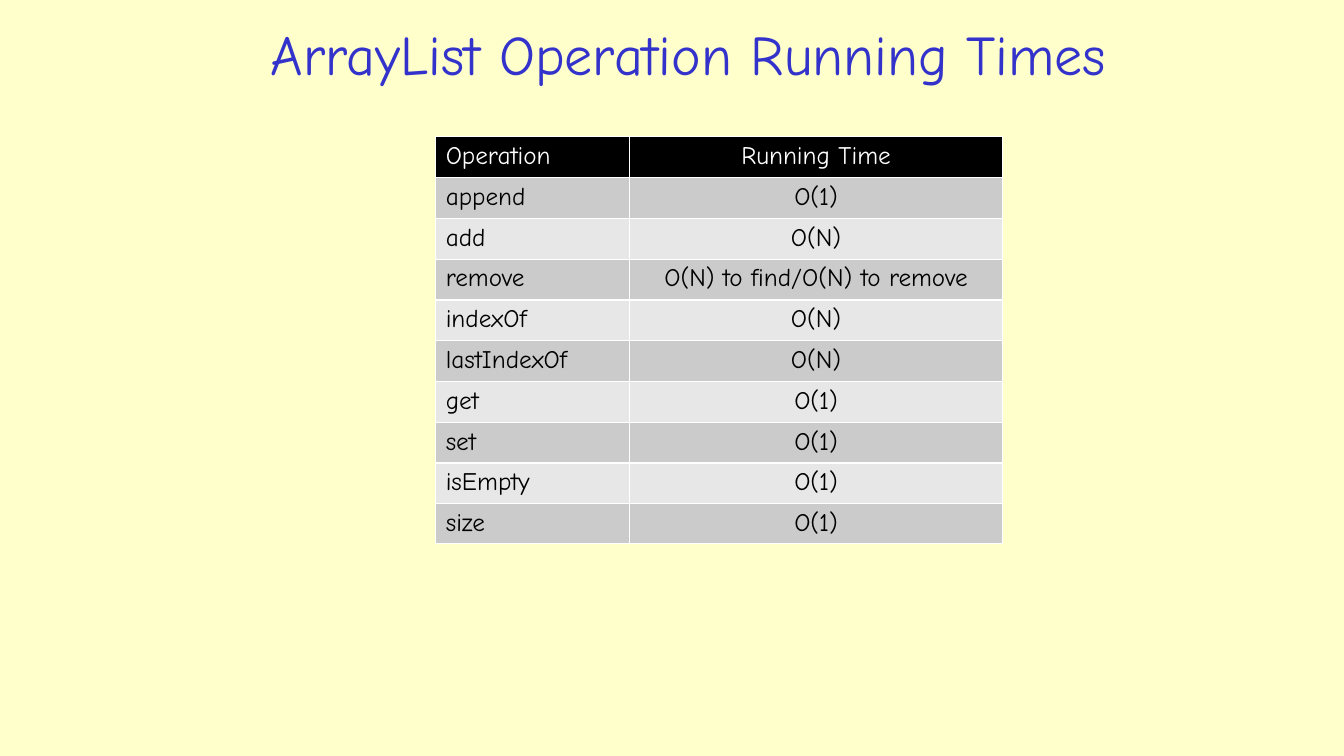
from lxml.etree import SubElement
from pptx import Presentation
from pptx.dml.color import RGBColor
from pptx.enum.text import MSO_ANCHOR, PP_ALIGN
from pptx.oxml.ns import qn
from pptx.util import Cm, Pt

FONT = "Comic Neue"
CREAM = RGBColor(0xFF, 0xFF, 0xCC)
BLUE = RGBColor(0x33, 0x33, 0xCC)
BLACK = RGBColor(0x00, 0x00, 0x00)
WHITE = RGBColor(0xFF, 0xFF, 0xFF)
DARK_BAND = RGBColor(0xCB, 0xCB, 0xCB)
LIGHT_BAND = RGBColor(0xE7, 0xE7, 0xE7)

ROWS = [
    ("Operation", "Running Time"),
    ("append", "O(1)"),
    ("add", "O(N)"),
    ("remove", "O(N) to find/O(N) to remove"),
    ("indexOf", "O(N)"),
    ("lastIndexOf", "O(N)"),
    ("get", "O(1)"),
    ("set", "O(1)"),
    ("isEmpty", "O(1)"),
    ("size", "O(1)"),
]
COLUMN_WIDTHS = [Cm(4.89), Cm(9.39)]
ROW_HEIGHTS = [Cm(1.03)] * 7 + [Cm(0.99)] * 3


def write(frame, text, size=18, color=BLACK, align=PP_ALIGN.LEFT):
    para = frame.paragraphs[0]
    para.alignment = align
    span = para.add_run()
    span.text = text
    span.font.name = FONT
    span.font.size = Pt(size)
    span.font.bold = False
    span.font.color.rgb = color


def add_borders(cell, color=WHITE, width=1):
    properties = cell._tc.get_or_add_tcPr()
    for side in ("a:lnL", "a:lnR", "a:lnT", "a:lnB"):
        line = SubElement(properties, qn(side), w=str(Pt(width)))
        SubElement(SubElement(line, qn("a:solidFill")), qn("a:srgbClr"), val=str(color))


deck = Presentation()
deck.slide_width, deck.slide_height = Cm(33.87), Cm(19.05)
page = deck.slides.add_slide(deck.slide_layouts[6])
page.background.fill.solid()
page.background.fill.fore_color.rgb = CREAM

# Title
box = page.shapes.add_textbox(Cm(3.7), Cm(0.38), Cm(27.3), Cm(1.93))
box.text_frame.word_wrap = True
box.text_frame.vertical_anchor = MSO_ANCHOR.MIDDLE
write(box.text_frame, "ArrayList Operation Running Times", size=40, color=BLUE,
      align=PP_ALIGN.CENTER)

# Running time table
table = page.shapes.add_table(len(ROWS), len(COLUMN_WIDTHS), Cm(10.98), Cm(3.44),
                              sum(COLUMN_WIDTHS), sum(ROW_HEIGHTS)).table
for column, width in zip(table.columns, COLUMN_WIDTHS):
    column.width = width
for row, height in zip(table.rows, ROW_HEIGHTS):
    row.height = height

for row_number, texts in enumerate(ROWS):
    header = row_number == 0
    band = DARK_BAND if row_number % 2 else LIGHT_BAND
    for column_number, text in enumerate(texts):
        cell = table.cell(row_number, column_number)
        add_borders(cell)
        cell.fill.solid()
        cell.fill.fore_color.rgb = BLACK if header else band
        write(cell.text_frame, text, color=WHITE if header else BLACK,
              align=PP_ALIGN.CENTER if column_number else PP_ALIGN.LEFT)

deck.save("out.pptx")
